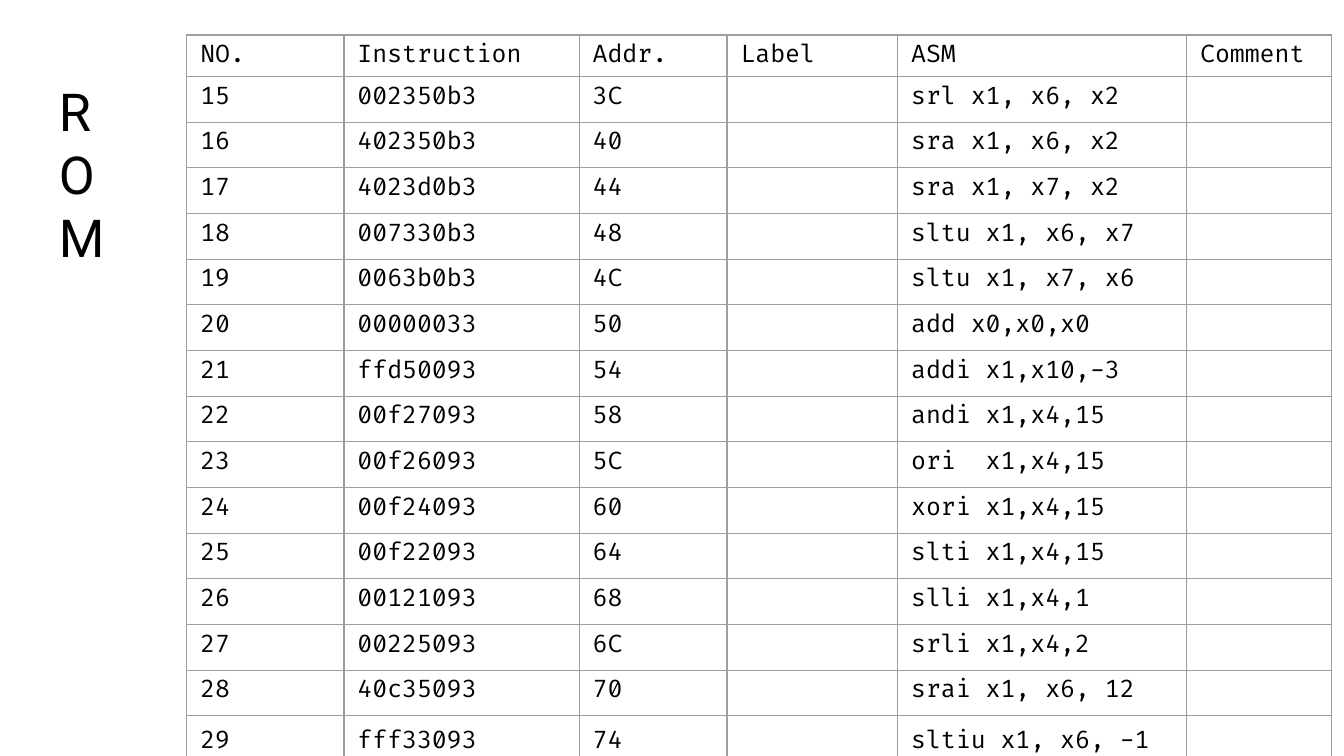
import lxml.etree
import pptx
import pptx.dml.color
import pptx.enum.text
import pptx.oxml.ns
import pptx.util

Inches = pptx.util.Inches
Pt = pptx.util.Pt
BLACK = pptx.dml.color.RGBColor(0x00, 0x00, 0x00)
GRID_GREY = pptx.dml.color.RGBColor(0x9E, 0x9E, 0x9E)

FIRST_NUMBER = 15
HEADINGS = ["NO.", "Instruction", "Addr.", "Label", "ASM", "Comment"]
COLUMN_WIDTHS = [1.17, 1.75, 1.1, 1.27, 2.15, 1.08]
PROGRAM = [
    ("002350b3", "srl x1, x6, x2"),
    ("402350b3", "sra x1, x6, x2"),
    ("4023d0b3", "sra x1, x7, x2"),
    ("007330b3", "sltu x1, x6, x7"),
    ("0063b0b3", "sltu x1, x7, x6"),
    ("00000033", "add x0,x0,x0"),
    ("ffd50093", "addi x1,x10,-3"),
    ("00f27093", "andi x1,x4,15"),
    ("00f26093", "ori  x1,x4,15"),
    ("00f24093", "xori x1,x4,15"),
    ("00f22093", "slti x1,x4,15"),
    ("00121093", "slli x1,x4,1"),
    ("00225093", "srli x1,x4,2"),
    ("40c35093", "srai x1, x6, 12"),
    ("fff33093", "sltiu x1, x6, -1"),
]


def write_text(frame, text, *, font, size, color=BLACK, line_spacing=None):
    """Fill the first paragraph; an empty one still gets its line height."""
    paragraph = frame.paragraphs[0]
    if line_spacing:
        paragraph.line_spacing = line_spacing
    if not text:
        end = lxml.etree.SubElement(paragraph._p, pptx.oxml.ns.qn("a:endParaRPr"))
        end.set("sz", str(size * 100))
        return
    run = paragraph.add_run()
    run.text = text
    run.font.name = font
    run.font.size = Pt(size)
    run.font.color.rgb = color


def draw_borders(cell, *, color, width):
    properties = cell._tc.get_or_add_tcPr()
    for side in ("lnL", "lnR", "lnT", "lnB"):
        line = lxml.etree.SubElement(
            properties, pptx.oxml.ns.qn(f"a:{side}"), w=str(Pt(width)))
        fill = lxml.etree.SubElement(line, pptx.oxml.ns.qn("a:solidFill"))
        lxml.etree.SubElement(fill, pptx.oxml.ns.qn("a:srgbClr"), val=str(color))


presentation = pptx.Presentation()
presentation.slide_width = Inches(10)
presentation.slide_height = Inches(10 * 9 / 16)
slide = presentation.slides.add_slide(presentation.slide_layouts[6])

# Each instruction takes four bytes, so its address follows from its number.
rows = [HEADINGS]
for number, (code, assembly) in enumerate(PROGRAM, FIRST_NUMBER):
    rows.append([str(number), code, f"{4 * number:02X}", "", assembly, ""])
row_heights = [0.31] + [0.34] * len(PROGRAM)

listing = slide.shapes.add_table(
    len(rows), len(HEADINGS), Inches(1.39), Inches(0.26),
    Inches(sum(COLUMN_WIDTHS)), Inches(sum(row_heights))).table
listing.first_row = False
listing.horz_banding = False
for column, width in zip(listing.columns, COLUMN_WIDTHS):
    column.width = Inches(width)

for row_index, texts in enumerate(rows):
    listing.rows[row_index].height = Inches(row_heights[row_index])
    is_last = row_index == len(rows) - 1
    for column_index, text in enumerate(texts):
        cell = listing.cell(row_index, column_index)
        cell.margin_left = cell.margin_right = Inches(0.1)
        cell.margin_top = cell.margin_bottom = Inches(0.04)
        draw_borders(cell, color=GRID_GREY, width=0.75)
        cell.fill.background()
        write_text(cell.text_frame, text, font="Fira Code", size=13,
                   line_spacing=1.15 if is_last else None)

# The narrow box breaks the title into one letter a line.
title = slide.shapes.add_textbox(
    Inches(0.34), Inches(0.49), Inches(0.65), Inches(1.77)).text_frame
title.word_wrap = True
title.vertical_anchor = pptx.enum.text.MSO_ANCHOR.TOP
title.margin_left = title.margin_right = Inches(0.1)
title.margin_top = title.margin_bottom = Inches(0.1)
write_text(title, "ROM", font="Roboto", size=28)

presentation.save("out.pptx")
